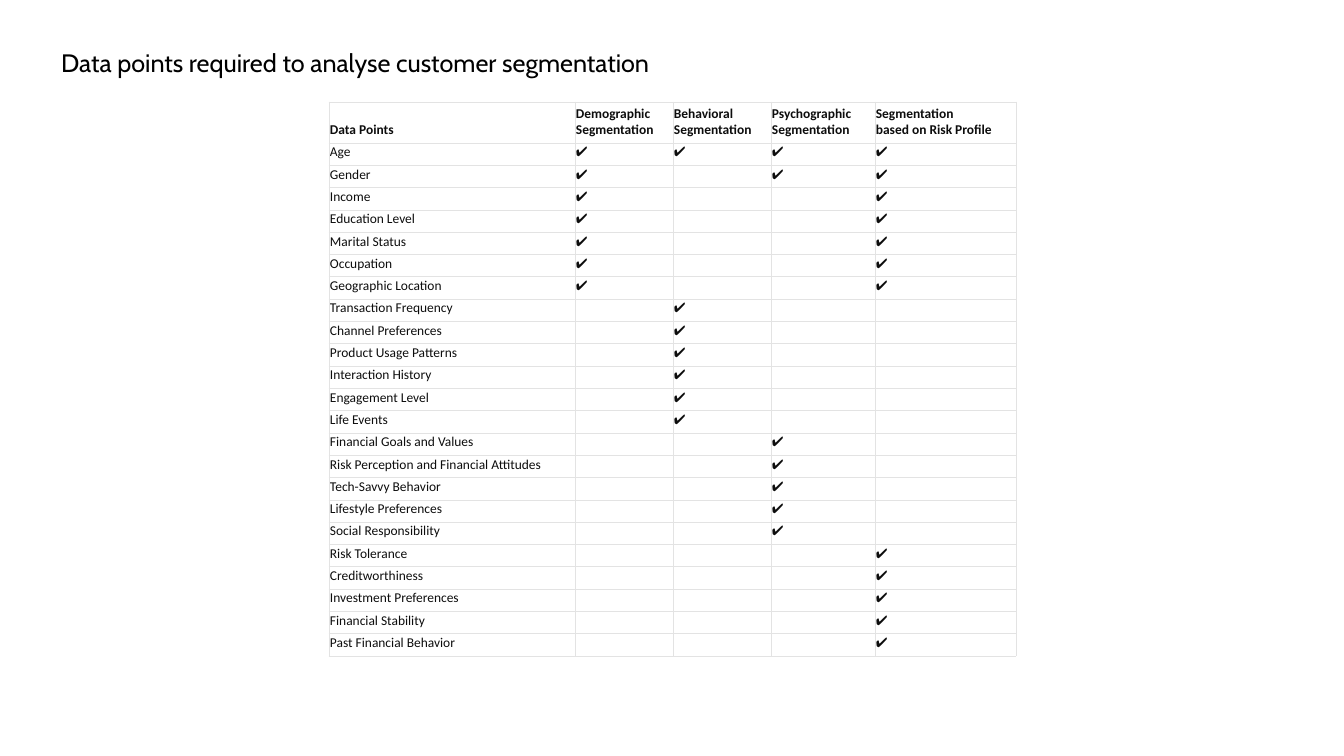
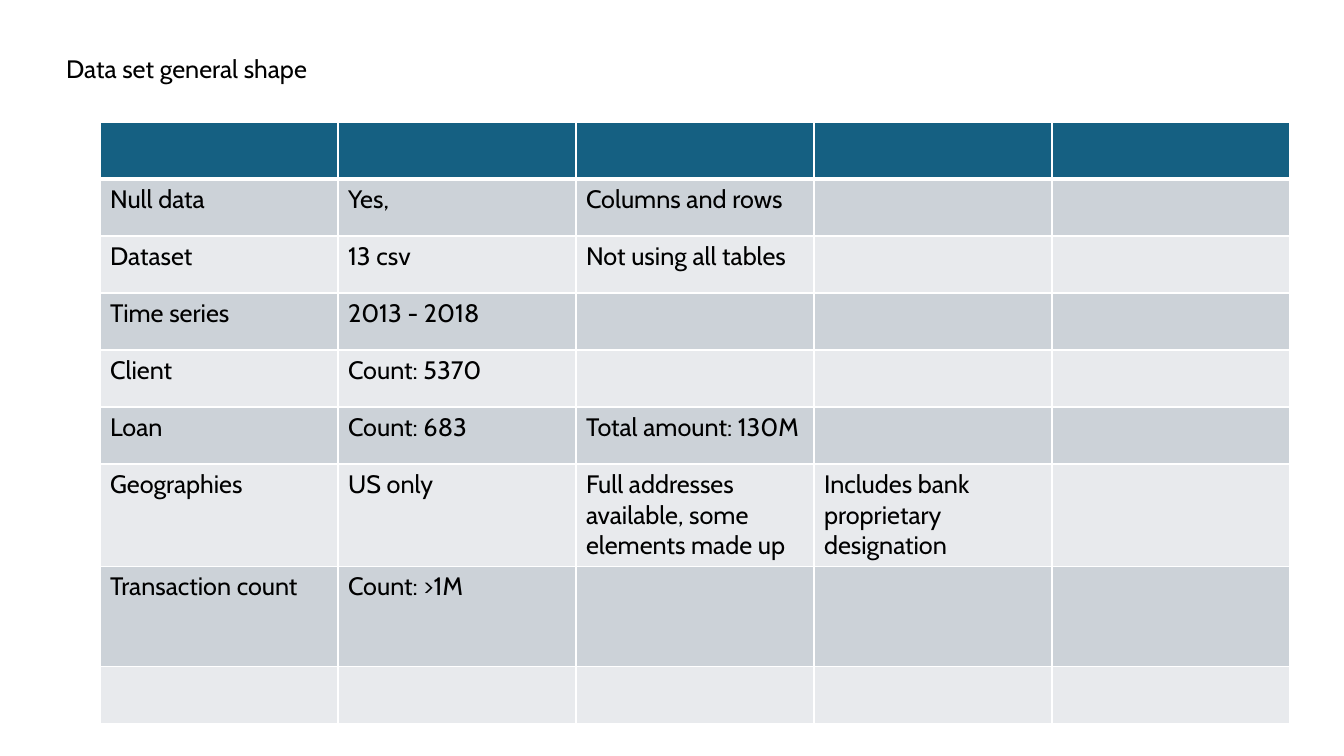
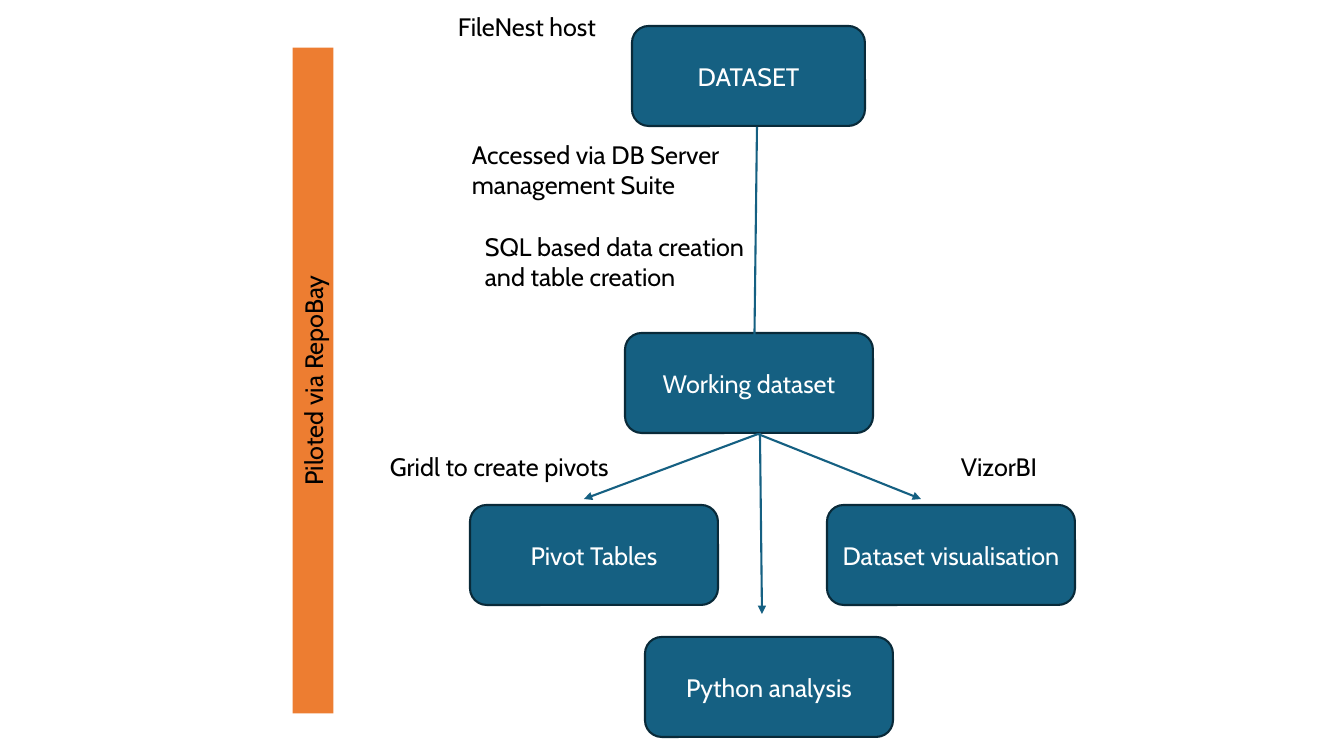
"""Build three slides on customer segmentation data and its processing flow."""
from dataclasses import dataclass
from typing import NamedTuple

from pptx import Presentation
from pptx import util as u
from pptx.dml.color import RGBColor
from pptx.enum import shapes, text
from pptx.oxml.ns import qn
from lxml import etree

EMU_PER_PX = 914400 / 100.8


@dataclass(frozen=True)
class Theme:
    """Colours, fonts and type sizes shared by the slides."""
    black: str = "000000"
    white: str = "FFFFFF"
    ink: str = "0D0D0D"
    grid: str = "E3E3E3"
    blue: str = "156082"
    navy: str = "092A39"
    orange: str = "ED7D31"
    band_dark: str = "CCD2D8"
    band_light: str = "E8EAED"
    font: str = "Cabin"
    table_font: str = "Calibri"
    size: float = 18
    small: float = 9.6
    line: float = 1.5


THEME = Theme()


class Box(NamedTuple):
    """A rectangle in px."""
    left: int
    top: int
    width: int
    height: int


class Caption(NamedTuple):
    """Words and the box that holds them."""
    words: str
    box: Box


class Arrow(NamedTuple):
    """A straight arrow between two points in px."""
    x1: int
    y1: int
    x2: int
    y2: int


class TextStyle(NamedTuple):
    """The look of a piece of text."""
    color: str = THEME.black
    size: float = THEME.size
    font: str = THEME.font
    bold: bool = False


class Edges(NamedTuple):
    """Border widths of a cell in points."""
    left: float
    right: float
    top: float
    bottom: float


BODY = TextStyle()
LIGHT = TextStyle(color=THEME.white)
SMALL = TextStyle(THEME.ink, THEME.small, THEME.table_font)
SMALL_BOLD = SMALL._replace(bold=True)

DATA_TITLE = Caption("Data points required to analyse customer segmentation", Box(51, 42, 844, 40))
SHAPE_TITLE = Caption("Data set general shape", Box(56, 48, 302, 40))

CHECK = "✔️"
SEGMENTS = ["Data Points", "Demographic\nSegmentation", "Behavioral\nSegmentation",
            "Psychographic\nSegmentation", "Segmentation\nbased on Risk Profile"]
DATA_POINTS = [
    ({1, 2, 3, 4}, ["Age"]),
    ({1, 3, 4}, ["Gender"]),
    ({1, 4}, ["Income", "Education Level", "Marital Status", "Occupation", "Geographic Location"]),
    ({2}, ["Transaction Frequency", "Channel Preferences", "Product Usage Patterns",
           "Interaction History", "Engagement Level", "Life Events"]),
    ({3}, ["Financial Goals and Values", "Risk Perception and Financial Attitudes",
           "Tech-Savvy Behavior", "Lifestyle Preferences", "Social Responsibility"]),
    ({4}, ["Risk Tolerance", "Creditworthiness", "Investment Preferences",
           "Financial Stability", "Past Financial Behavior"]),
]

FACTS = [
    [],
    ["Null data", "Yes,", "Columns and rows"],
    ["Dataset", "13 csv", "Not using all tables"],
    ["Time series", "2013 - 2018"],
    ["Client", "Count: 5370"],
    ["Loan", "Count: 683", "Total amount: 130M"],
    ["Geographies", "US only", "Full addresses available, some elements made up",
     "Includes bank proprietary designation"],
    ["Transaction count", "Count: >1M"],
    [],
]

NODES = [
    Caption("DATASET", Box(632, 26, 233, 100)),
    Caption("Working dataset", Box(625, 333, 248, 100)),
    Caption("Pivot Tables", Box(470, 505, 248, 100)),
    Caption("Dataset visualisation", Box(827, 505, 248, 100)),
    Caption("Python analysis", Box(645, 637, 248, 100)),
]
LABELS = [
    Caption("FileNest host", Box(448, 6, 219, 40)),
    Caption("Accessed via DB Server management Suite", Box(462, 134, 302, 72)),
    Caption("SQL based data creation and table creation", Box(475, 226, 302, 72)),
    Caption("Gridl to create pivots", Box(380, 446, 302, 40)),
    Caption("VizorBI", Box(951, 446, 302, 40)),
]
ARROWS = [
    Arrow(757, 127, 754, 378),
    Arrow(758, 434, 584, 499),
    Arrow(758, 434, 921, 499),
    Arrow(760, 433, 762, 614),
]
SIDE_BAR = Caption("Piloted via RepoBay", Box(-20, 360, 666, 41))


def px(length: int) -> u.Emu:
    """Turn px into EMU."""
    return u.Emu(round(length * EMU_PER_PX))


def place(box: Box) -> list[u.Emu]:
    """Give the left, top, width and height of a box in EMU."""
    return [px(length) for length in box]


def rgb(color: str) -> RGBColor:
    """Turn a hex string into a colour."""
    return RGBColor.from_string(color)


def write(text_frame, words: str, style: TextStyle, align=text.PP_ALIGN.LEFT) -> None:
    """Set text and format its runs."""
    text_frame.text = words
    for paragraph in text_frame.paragraphs:
        paragraph.alignment = align
        for run in paragraph.runs:
            run.font.name = style.font
            run.font.size = u.Pt(style.size)
            run.font.bold = style.bold
            run.font.color.rgb = rgb(style.color)


def add_title(slide, title: Caption) -> None:
    """Move, fill and format the title placeholder."""
    shape = slide.shapes.title
    shape.left, shape.top, shape.width, shape.height = place(title.box)
    write(shape.text_frame, title.words, BODY)
    shape.text_frame.auto_size = text.MSO_AUTO_SIZE.NONE
    shape.text_frame.vertical_anchor = text.MSO_ANCHOR.TOP


def add_grid(slide, left: int, top: int, widths: list[int], heights: list[int]):
    """Add a table with given column widths and row heights."""
    box = Box(left, top, sum(widths), sum(heights))
    table = slide.shapes.add_table(len(heights), len(widths), *place(box)).table
    table.first_row = table.horz_banding = False
    for column, width in zip(table.columns, widths):
        column.width = px(width)
    for row, height in zip(table.rows, heights):
        row.height = px(height)
    return table


def set_cell(cell, words: str, style: TextStyle, fill: str, border: str, edges: Edges) -> None:
    """Write a cell and set its borders and fill."""
    write(cell.text_frame, words, style)
    if not words:
        paragraph = cell.text_frame.paragraphs[0]._p
        etree.SubElement(paragraph, qn("a:endParaRPr"), sz=str(round(style.size * 100)))
    properties = cell._tc.get_or_add_tcPr()
    for side, width in zip("LRTB", edges):
        line = etree.SubElement(properties, qn(f"a:ln{side}"), w=str(u.Pt(width)))
        solid = etree.SubElement(line, qn("a:solidFill"))
        etree.SubElement(solid, qn("a:srgbClr"), val=border)
    cell.fill.solid()
    cell.fill.fore_color.rgb = rgb(fill)


def add_shape(slide, kind, caption: Caption, fill: str, style: TextStyle):
    """Add a filled shape with centred text and no outline."""
    shape = slide.shapes.add_shape(kind, *place(caption.box))
    shape.shadow.inherit = False
    shape.fill.solid()
    shape.fill.fore_color.rgb = rgb(fill)
    shape.line.fill.background()
    write(shape.text_frame, caption.words, style, text.PP_ALIGN.CENTER)
    shape.text_frame.vertical_anchor = text.MSO_ANCHOR.MIDDLE
    return shape


def add_node(slide, node: Caption) -> None:
    """Add a rounded step of the flow."""
    shape = add_shape(slide, shapes.MSO_SHAPE.ROUNDED_RECTANGLE, node, THEME.blue, LIGHT)
    shape.line.color.rgb = rgb(THEME.navy)
    shape.line.width = u.Pt(THEME.line)


def add_label(slide, label: Caption) -> None:
    """Add a wrapped text box."""
    text_frame = slide.shapes.add_textbox(*place(label.box)).text_frame
    text_frame.word_wrap = True
    write(text_frame, label.words, BODY)


def add_arrow(slide, arrow: Arrow) -> None:
    """Add a connector with a triangle at its end."""
    ends = [px(length) for length in arrow]
    connector = slide.shapes.add_connector(shapes.MSO_CONNECTOR.STRAIGHT, *ends)
    connector.line.color.rgb = rgb(THEME.blue)
    connector.line.width = u.Pt(THEME.line)
    properties = connector._element.spPr
    etree.SubElement(properties.find(qn("a:ln")), qn("a:tailEnd"), type="triangle")
    etree.SubElement(properties, qn("a:effectLst"))


def build_data_points(slide) -> None:
    """Draw the matrix of data points and segmentations."""
    add_title(slide, DATA_TITLE)
    rows = [SEGMENTS]
    for marks, names in DATA_POINTS:
        checks = [CHECK if column in marks else "" for column in range(1, len(SEGMENTS))]
        rows += [[name, *checks] for name in names]
    table = add_grid(slide, 329, 102, [246, 98, 98, 104, 141], [41] + [22] * (len(rows) - 1))
    edges = Edges(0.5, 0.5, 0.5, 0.5)
    for row, values in enumerate(rows):
        style = SMALL if row else SMALL_BOLD
        for column, words in enumerate(values):
            cell = table.cell(row, column)
            set_cell(cell, words, style, THEME.white, THEME.grid, edges)
            cell.vertical_anchor = text.MSO_ANCHOR.BOTTOM
            cell.margin_left = cell.margin_right = cell.margin_top = px(1)
            cell.margin_bottom = px(5)


def build_data_shape(slide) -> None:
    """Draw the banded table of data set facts."""
    add_title(slide, SHAPE_TITLE)
    columns = 5
    table = add_grid(slide, 100, 122, [238] * columns, [57] * 6 + [100] * 2 + [57])
    bands = (THEME.band_light, THEME.band_dark)
    for row, facts in enumerate(FACTS):
        fill = bands[row % 2] if row else THEME.blue
        edges = Edges(1, 1, 3 if row == 1 else 1, 3 if row == 0 else 1)
        for column in range(columns):
            words = facts[column] if column < len(facts) else ""
            set_cell(table.cell(row, column), words, BODY, fill, THEME.white, edges)


def build_flow(slide) -> None:
    """Draw the flow from the data set to its analyses."""
    for node in NODES:
        add_node(slide, node)
    for label in LABELS:
        add_label(slide, label)
    for arrow in ARROWS:
        add_arrow(slide, arrow)
    bar = add_shape(slide, shapes.MSO_SHAPE.RECTANGLE, SIDE_BAR, THEME.orange, BODY)
    bar.rotation = 270


def main() -> None:
    """Build and save the presentation."""
    presentation = Presentation()
    presentation.slide_width, presentation.slide_height = px(1344), px(756)
    title_only, blank = presentation.slide_layouts[5], presentation.slide_layouts[6]
    pages = [(title_only, build_data_points), (title_only, build_data_shape), (blank, build_flow)]
    for layout, build in pages:
        build(presentation.slides.add_slide(layout))
    presentation.save("out.pptx")


if __name__ == "__main__":
    main()
